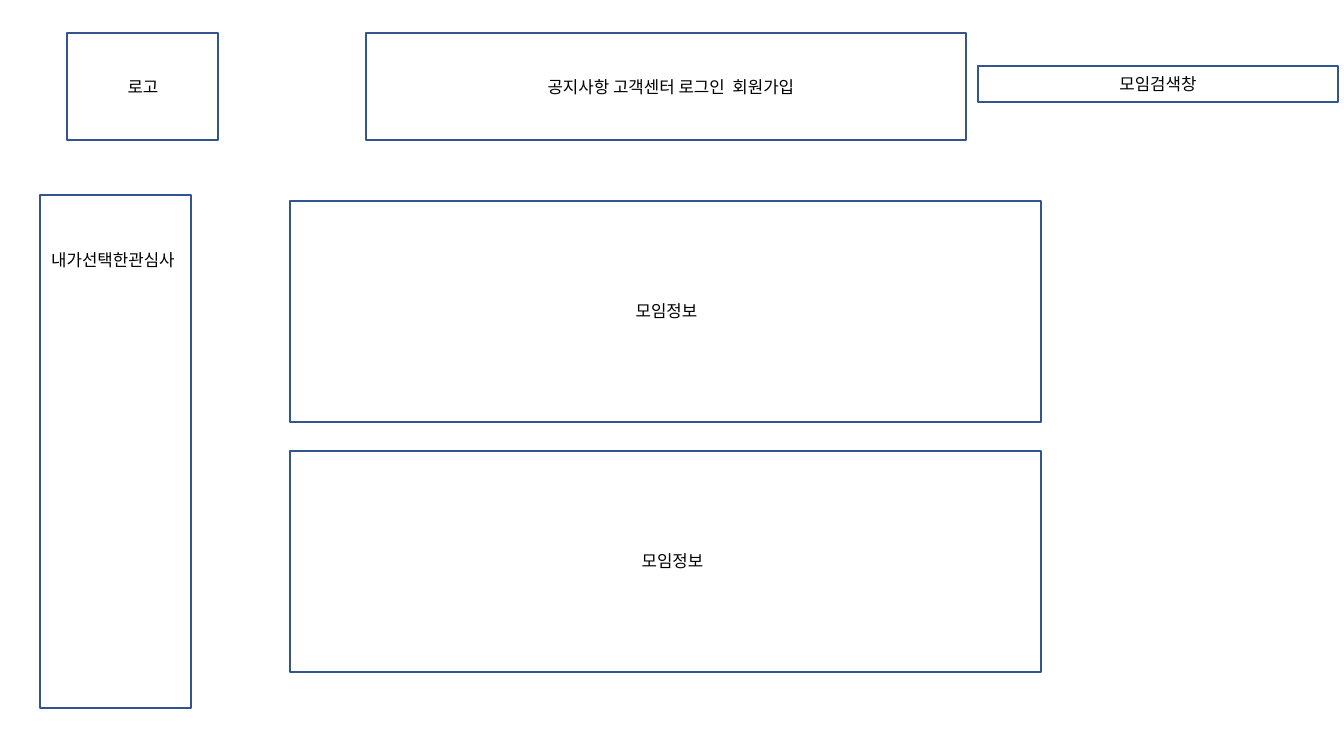
from pptx import Presentation, util as u
from pptx.dml.color import RGBColor
from pptx.enum import shapes, text
from pptx.oxml.ns import qn
from lxml import etree

PX = 914400 / 100.8  # EMU per pixel
FONT = "Noto Sans CJK KR"
HUES = {"line": "325491", "text": "000000"}


def emu(*vals):
    return [u.Emu(round(v * PX)) for v in vals]


deck = Presentation()
deck.slide_width, deck.slide_height = emu(1344, 756)
page = deck.slides.add_slide(deck.slide_layouts[6])

# Page areas: frame box, label text, label left, top and width, wrap
INFO_X, INFO_Y, INFO_STEP = 290, 201, 250
areas = [
    ((67, 33, 151, 107), "로고", (116, 72, 54), False),
    ((366, 33, 600, 107), "공지사항 고객센터 로그인  회원가입", (522, 72, 298), False),
    ((40, 195, 151, 513), "내가선택한관심사", (35, 245, 156), False),
    ((978, 66, 360, 36), "모임검색창", (1094, 69, 128), True),
]

# Two stacked meeting panels
for row, left in enumerate((622, 628)):
    top = INFO_Y + row * INFO_STEP
    areas.append(((INFO_X, top, 751, 221), "모임정보", (left, top + 95, 89), False))

for box, words, (left, top, width), wrap in areas:
    # Outline
    frame = page.shapes.add_shape(shapes.MSO_SHAPE.RECTANGLE, *emu(*box))
    frame.shadow.inherit = False
    frame.fill.background()
    frame.line.color.rgb = RGBColor.from_string(HUES["line"])
    frame.line.width = u.Pt(1)

    # Label
    body = page.shapes.add_textbox(*emu(left, top, width, 30)).text_frame
    body.word_wrap = wrap
    body.auto_size = text.MSO_AUTO_SIZE.SHAPE_TO_FIT_TEXT
    para = body.paragraphs[0]
    para.alignment = text.PP_ALIGN.CENTER
    run = para.add_run()
    run.text = words
    for name, val in {"size": u.Pt(12), "name": FONT}.items():
        setattr(run.font, name, val)
    run.font.color.rgb = RGBColor.from_string(HUES["text"])
    # Korean glyphs take the East Asian typeface
    props = run.font._element
    etree.SubElement(props, qn("a:ea"), typeface=FONT)

deck.save("out.pptx")
